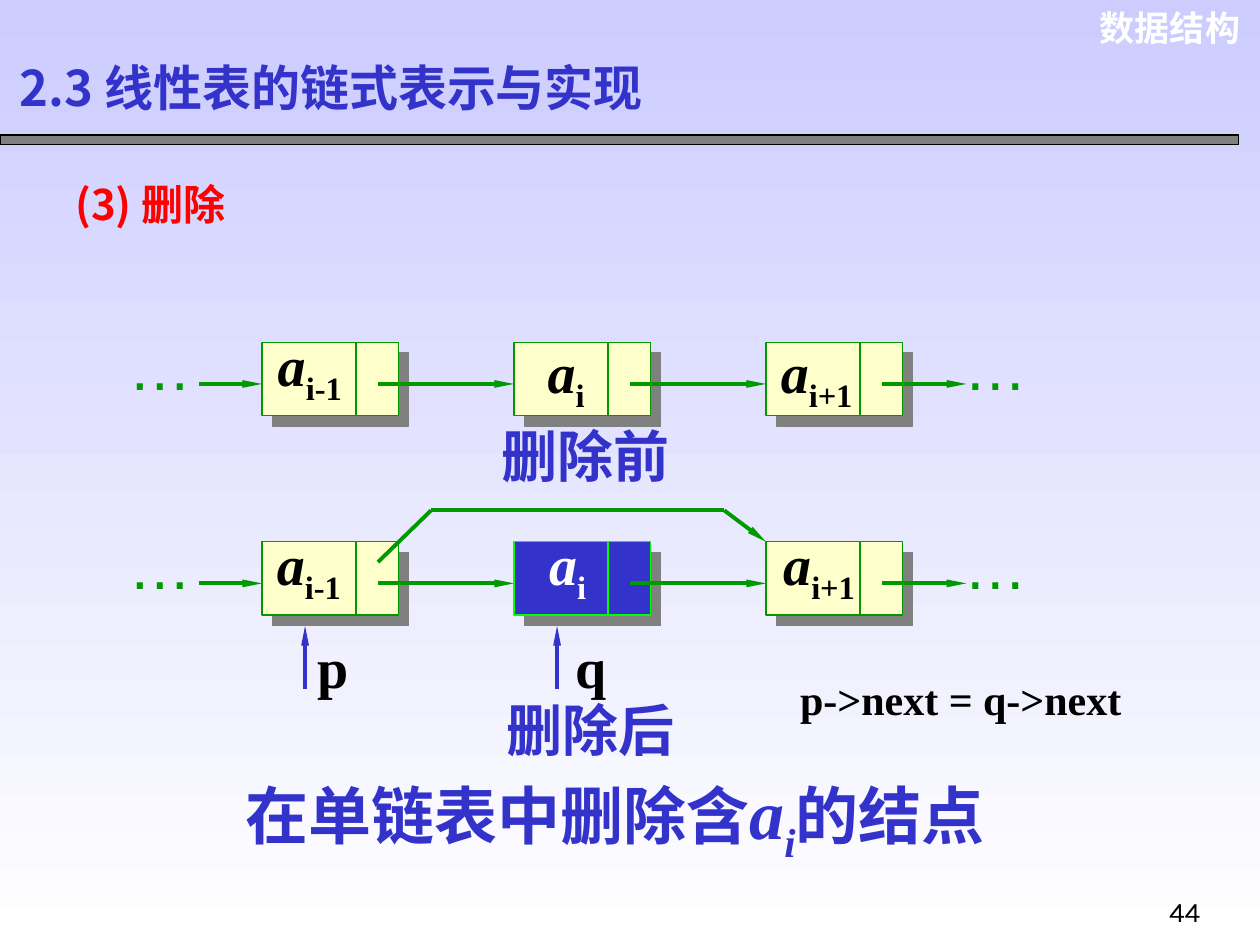
from dataclasses import dataclass

from lxml.etree import SubElement
from pptx import Presentation
from pptx.dml.color import RGBColor
from pptx.enum.shapes import MSO_CONNECTOR, MSO_SHAPE
from pptx.enum.text import MSO_ANCHOR, PP_ALIGN
from pptx.oxml.ns import qn
from pptx.util import Cm, Pt

COLORS = {
    "sky": "CCCCFF", "white": "FFFFFF", "black": "000000", "gray": "808080",
    "red": "FF0000", "blue": "3333CC", "green": "009900", "lime": "00FF00",
    "cream": "FFFFCC",
}
SERIF, SANS, CJK = "Times New Roman", "Arial", "Noto Sans CJK SC"

# Linked-list geometry, in centimetres
FIRST_NODE, PITCH = 5.28, 5.08
NODE_W, NODE_H = 2.75, 1.48
DIVIDER, POINTER, ARROW_Y = 1.9, 2.34, 0.84
ROW_START, ROW_END = 4.01, 19.48


@dataclass
class Run:
    text: str
    size: float
    color: str = "black"
    font: str = SERIF
    bold: bool = True
    italic: bool = False
    subscript: bool = False


@dataclass
class Node:
    index: str
    label_dx: float
    label_dy: float
    label_width: float
    deleted: bool = False


@dataclass
class Chain:
    top: float
    nodes: list[Node]


CHAINS = [
    Chain(6.9, [Node("i-1", 0.07, -0.36, 1.8), Node("i", 0.43, -0.23, 1.25),
                Node("i+1", 0.05, -0.23, 1.96)]),
    Chain(10.92, [Node("i-1", 0.05, -0.36, 1.8), Node("i", 0.46, -0.36, 1.25, True),
                  Node("i+1", 0.1, -0.36, 1.96)]),
]


def rgb(name: str) -> RGBColor:
    return RGBColor.from_string(COLORS[name])


def add_text(slide, left: float, top: float, width: float, height: float,
             runs: list[Run], wrap: bool = False, align=PP_ALIGN.LEFT,
             spacing: float = 1.0, anchor=MSO_ANCHOR.TOP) -> None:
    frame = slide.shapes.add_textbox(Cm(left), Cm(top), Cm(width), Cm(height)).text_frame
    frame.word_wrap = wrap
    frame.vertical_anchor = anchor
    paragraph = frame.paragraphs[0]
    paragraph.alignment = align
    paragraph.line_spacing = spacing
    for part in runs:
        run = paragraph.add_run()
        run.text = part.text
        font = run.font
        font.name, font.size = part.font, Pt(part.size)
        font.bold, font.italic = part.bold, part.italic
        font.color.rgb = rgb(part.color)
        properties = run._r.get_or_add_rPr()
        if part.subscript:
            properties.set("baseline", "-25000")
        if any("一" <= letter <= "龥" for letter in part.text):
            SubElement(properties, qn("a:ea"), typeface=CJK)


def add_line(slide, start: tuple[float, float], end: tuple[float, float],
             color: str = "green", weight: float = 2.25, arrow: bool = False) -> None:
    line = slide.shapes.add_connector(
        MSO_CONNECTOR.STRAIGHT, *(Cm(value) for value in (*start, *end)))
    line.line.color.rgb = rgb(color)
    line.line.width = Pt(weight)
    if arrow:
        SubElement(line.line._get_or_add_ln(), qn("a:tailEnd"),
                   type="triangle", w="sm", len="lg")
    SubElement(line._element.spPr, qn("a:effectLst"))


def add_rectangle(slide, left: float, top: float, width: float, height: float,
                  fill: str, outline: str):
    rectangle = slide.shapes.add_shape(
        MSO_SHAPE.RECTANGLE, Cm(left), Cm(top), Cm(width), Cm(height))
    rectangle.shadow.inherit = False
    rectangle.fill.solid()
    rectangle.fill.fore_color.rgb = rgb(fill)
    rectangle.line.color.rgb = rgb(outline)
    rectangle.line.width = Pt(0.75)
    return rectangle


def add_drop_shadow(shape) -> None:
    """Give the shape a hard gray shadow to the lower right."""
    effects = shape._element.spPr.find(qn("a:effectLst"))
    shadow = SubElement(effects, qn("a:outerShdw"), blurRad="0", dist=str(Pt(8.5)),
                        dir="2700000", algn="ctr", rotWithShape="0")
    SubElement(shadow, qn("a:srgbClr"), val=COLORS["gray"])


def add_node(slide, node: Node, left: float, top: float) -> None:
    fill, outline, ink = (("blue", "lime", "white") if node.deleted
                          else ("cream", "green", "black"))
    add_drop_shadow(add_rectangle(slide, left, top, NODE_W, NODE_H, fill, outline))
    add_line(slide, (left + DIVIDER, top), (left + DIVIDER, top + NODE_H), outline, 1.5)
    add_text(slide, left + node.label_dx, top + node.label_dy, node.label_width, 1.8,
             [Run("a", 32, ink, italic=True), Run(node.index, 32, ink, subscript=True)])


def add_chain(slide, chain: Chain) -> None:
    """Draw one row of nodes with its arrows and the dots at both ends."""
    arrow_y = chain.top + ARROW_Y
    add_line(slide, (ROW_START, arrow_y), (FIRST_NODE, arrow_y), arrow=True)
    for position, node in enumerate(chain.nodes):
        left = FIRST_NODE + position * PITCH
        is_last = position == len(chain.nodes) - 1
        add_node(slide, node, left, chain.top)
        add_line(slide, (left + POINTER, arrow_y),
                 (ROW_END if is_last else left + PITCH, arrow_y), arrow=True)
    for dots_left in (2.34, 19.18):
        add_text(slide, dots_left, chain.top - 0.43, 1.78, 1.78,
                 [Run("…", 36, "green", SANS, bold=False)])


def add_bypass(slide, top: float) -> None:
    """Draw the new link that skips the deleted node."""
    ridge = top - 0.63
    rise, bend = (8.69, ridge), (14.6, ridge)
    add_line(slide, (FIRST_NODE + POINTER, top + 0.41), rise)
    add_line(slide, rise, bend)
    add_line(slide, bend, (FIRST_NODE + 2 * PITCH, top), arrow=True)


def main() -> None:
    presentation = Presentation()
    presentation.slide_width, presentation.slide_height = Cm(25.4), Cm(19.05)
    slide = presentation.slides.add_slide(presentation.slide_layouts[6])

    background = slide.background.fill
    background.gradient()
    background.gradient_angle = 270
    for stop, color in zip(background.gradient_stops, ("sky", "white")):
        stop.color.rgb = rgb(color)

    add_text(slide, 21.77, 0, 3.48, 1.12, [Run("数据结构", 20, "white", SANS)],
             wrap=True, align=PP_ALIGN.RIGHT)
    add_rectangle(slide, 0, 2.72, 24.97, 0.2, "gray", "black")
    add_text(slide, 0.15, 1.12, 21.59, 1.47,
             [Run("2.3 线性表的链式表示与实现", 28, "blue", CJK)],
             wrap=True, spacing=0.8, anchor=MSO_ANCHOR.MIDDLE)
    add_text(slide, 1.27, 2.97, 22.66, 5.28, [Run("(3) 删除", 24, "red", CJK)],
             wrap=True, spacing=1.5)

    for chain in CHAINS:
        add_chain(slide, chain)
    add_bypass(slide, CHAINS[1].top)

    for pointer, arrow_x, name_left in (("p", 6.15, 6.15), ("q", 11.23, 11.35)):
        add_line(slide, (arrow_x, 13.89), (arrow_x, 12.62), "blue", arrow=True)
        add_text(slide, name_left, 12.62, 1.14, 1.63, [Run(pointer, 32)])

    for caption, left, top in (("删除前", 9.86, 8.38), ("删除后", 9.96, 13.89)):
        add_text(slide, left, top, 3.89, 1.63, [Run(caption, 32, "blue")])
    add_text(slide, 15.88, 13.46, 6.99, 1.27, [Run("p->next = q->next", 24)])
    add_text(slide, 4.7, 15.39, 15.98, 3.76, [
        Run("在单链表中删除含", 36, "blue"),
        Run("a", 40, "blue", italic=True),
        Run("i", 40, "blue", italic=True, subscript=True),
        Run("的结点", 36, "blue"),
    ], wrap=True)
    add_text(slide, 23.32, 17.91, 2.05, 1.07,
             [Run("44", 16, font="Karla", bold=False)], wrap=True)

    presentation.save("out.pptx")


if __name__ == "__main__":
    main()
